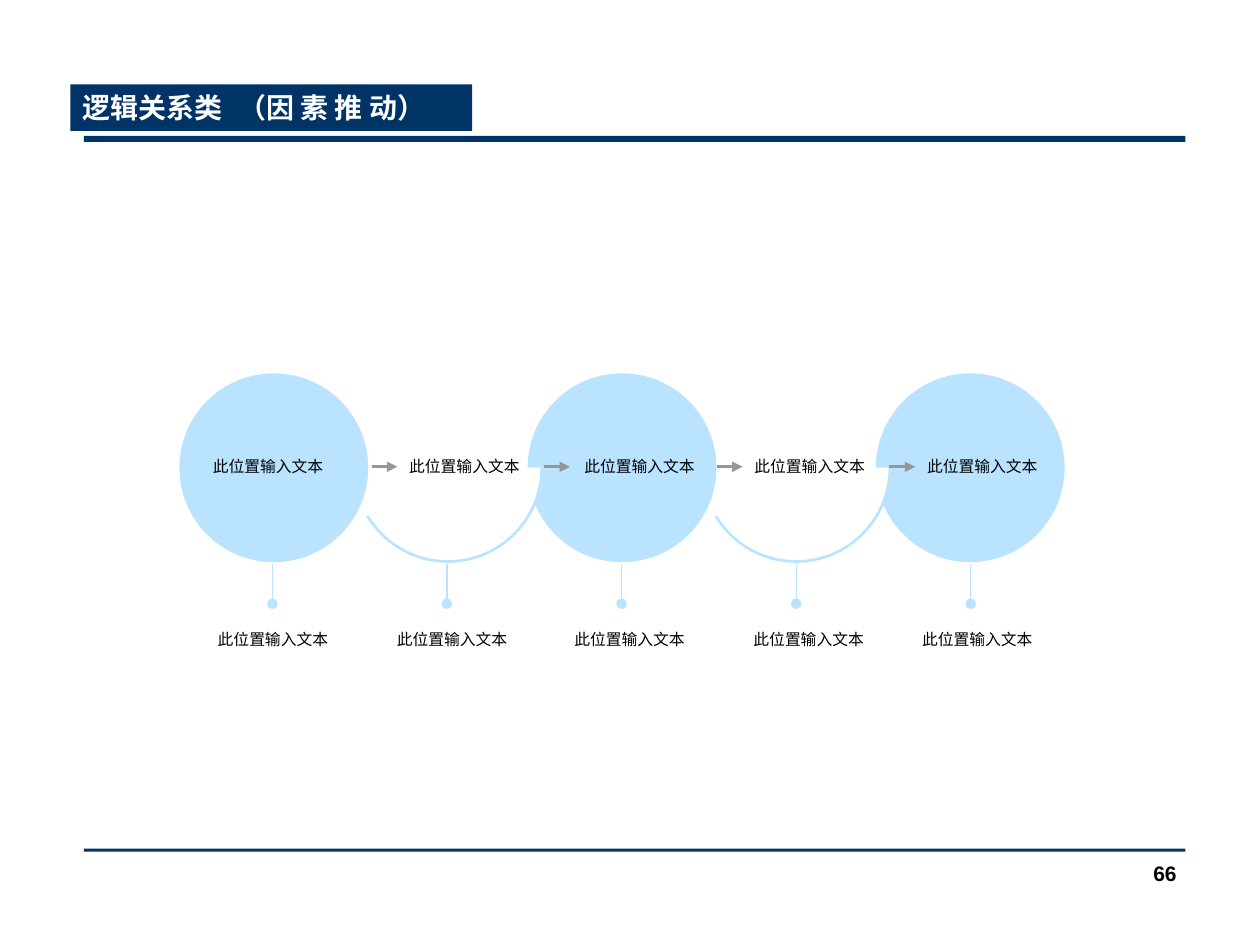
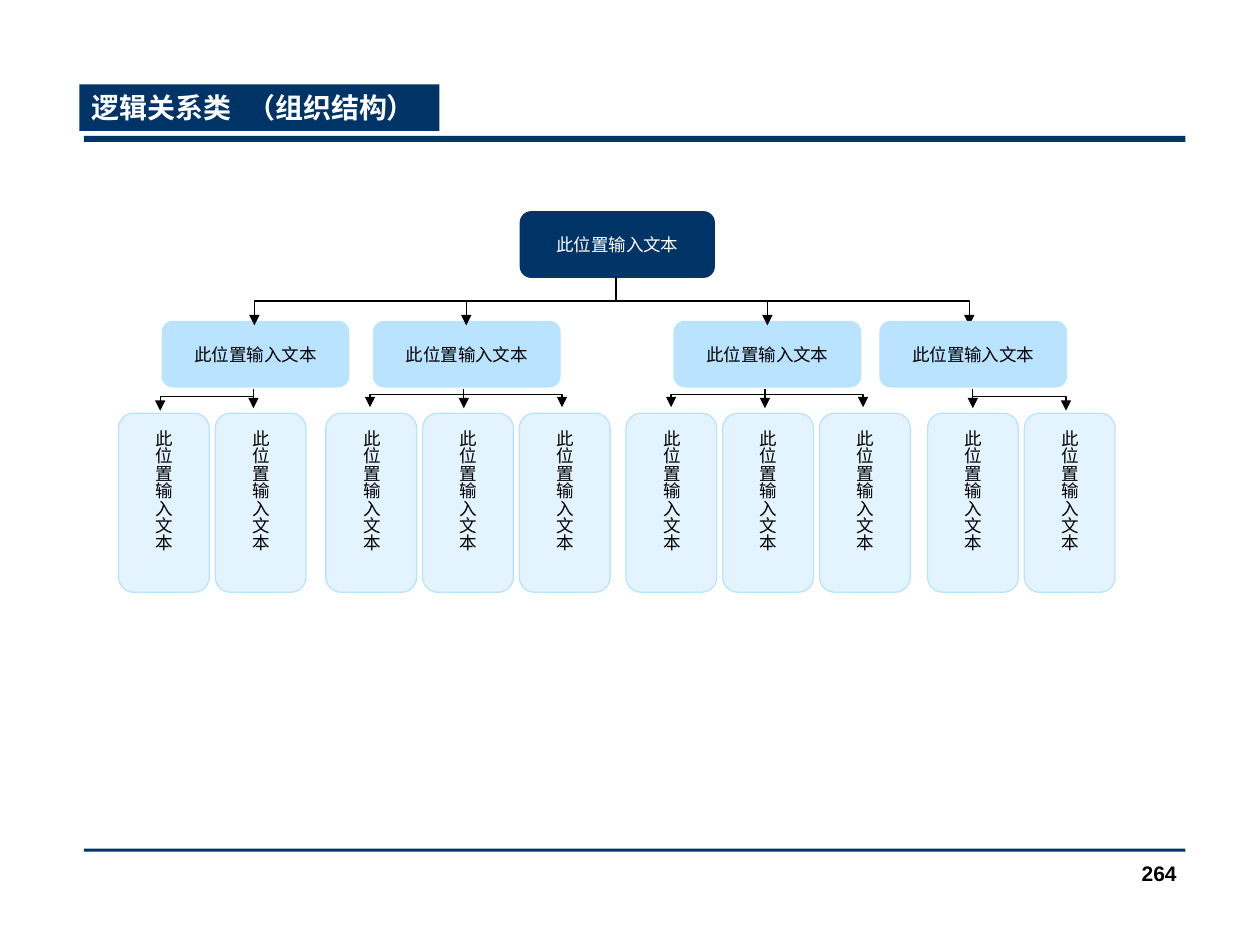
from dataclasses import dataclass

from lxml.etree import SubElement
from pptx import Presentation
from pptx.dml.color import RGBColor
from pptx.enum.shapes import MSO_CONNECTOR, MSO_SHAPE
from pptx.enum.text import MSO_ANCHOR, PP_ALIGN
from pptx.oxml.ns import qn
from pptx.util import Cm, Pt


@dataclass(frozen=True)
class Theme:
    navy: str = "003366"
    sky: str = "B9E3FF"
    gray: str = "969696"
    white: str = "FFFFFF"
    black: str = "000000"
    font: str = "Arial"
    title: int = 16
    number: int = 12
    node: int = 10
    label: int = 9
    thin: float = 0.75
    bold: float = 1.5


T = Theme()
TEXT = "此位置输入文本"


def color(code):
    return RGBColor.from_string(code)


def write(shape, text, size, ink, bold=False, align=PP_ALIGN.LEFT):
    frame = shape.text_frame
    frame.word_wrap = True
    para = frame.paragraphs[0]
    para.text = text
    para.alignment = align
    font = para.font
    font.name, font.size, font.bold = T.font, Pt(size), bold
    font.color.rgb = color(ink)
    return frame


def label(slide, x, y, w, h, text, size, **style):
    box = slide.shapes.add_textbox(Cm(x), Cm(y), Cm(w), Cm(h))
    write(box, text, size, T.black, **style)


def block(slide, kind, x, y, w, h, fill, edge=None, width=T.thin):
    shape = slide.shapes.add_shape(kind, Cm(x), Cm(y), Cm(w), Cm(h))
    shape.shadow.inherit = False
    shape.fill.solid()
    shape.fill.fore_color.rgb = color(fill)
    if edge:
        shape.line.color.rgb = color(edge)
        shape.line.width = Pt(width)
    else:
        shape.line.fill.background()
    return shape


def stroke(shape, ink, width, tail):
    shape.line.color.rgb = color(ink)
    shape.line.width = Pt(width)
    if tail:
        SubElement(shape.line._get_or_add_ln(), qn("a:tailEnd"), type=tail)


def line(slide, x1, y1, x2, y2, ink, width=T.thin, tail=None):
    link = slide.shapes.add_connector(
        MSO_CONNECTOR.STRAIGHT, Cm(x1), Cm(y1), Cm(x2), Cm(y2))
    stroke(link, ink, width, tail)
    SubElement(link._element.spPr, qn("a:effectLst"))


def elbow(slide, x, bar, end, tip):
    """Run along the bar from x to end, then drop to an arrow at tip."""
    path = slide.shapes.build_freeform(Cm(x), Cm(bar))
    path.add_line_segments(
        [(Cm(end), Cm(bar)), (Cm(end), Cm(tip))], close=False)
    shape = path.convert_to_shape()
    shape.shadow.inherit = False
    shape.fill.background()
    stroke(shape, T.black, T.thin, "triangle")


def page(deck, title, left, width, tab, number):
    """Add a slide with its title band, two rules and page number."""
    slide = deck.slides.add_slide(deck.slide_layouts[6])
    for y, h in ((2.74, 0.12), (17.11, 0.06)):
        block(slide, MSO_SHAPE.RECTANGLE, 1.69, y, 22.21, h, T.navy)
    band = block(slide, MSO_SHAPE.RECTANGLE, left, 1.7, width, 0.94, T.navy)
    para = write(band, title, T.title, T.white, bold=True).paragraphs[0]
    props = para._p.get_or_add_pPr()
    stops = props.find(qn("a:tabLst"))
    if stops is None:
        stops = SubElement(props, qn("a:tabLst"))
        props.insert(0, stops)
    SubElement(stops, qn("a:tab"), pos=str(Cm(tab)), algn="l")
    label(slide, 18.69, 17.22, 5.28, 1.27, number, T.number,
          bold=True, align=PP_ALIGN.RIGHT)
    return slide


def chain(slide, x, y):
    """Five linked circles: discs and open rings take turns."""
    size, pitch = 3.78, 3.51
    for i in (0, 2, 4):
        block(slide, MSO_SHAPE.OVAL, x + i * pitch, y, size, size,
              T.sky, T.sky)
    for i in (1, 3):
        ring = block(slide, MSO_SHAPE.ARC, x + i * pitch, y, size, size,
                     T.white, T.sky, T.bold)
        for k, angle in enumerate((-149, 149)):
            ring.adjustments[k] = angle * 0.6
    for i in range(4):
        start = x + 3.86 + i * 3.48
        line(slide, start, y + 1.87, start + 0.52, y + 1.87,
             T.gray, T.bold, "triangle")
    for i in range(5):
        stem = x + 1.86 + i * 3.52
        line(slide, stem, y + 3.84, stem, y + 4.63, T.sky, tail="oval")
    inner = (0.41, 4.37, 7.9, 11.33, 14.81)
    outer = (0.51, 4.12, 7.7, 11.31, 14.71)
    for top, row in ((1.55, inner), (5.03, outer)):
        for left in row:
            label(slide, x + left, y + top, 3.5, 0.64, TEXT, T.label)


def node(slide, x, y, w, h, fill, ink=T.black, edge=T.sky):
    shape = block(slide, MSO_SHAPE.FLOWCHART_ALTERNATE_PROCESS,
                  x, y, w, h, fill, edge)
    frame = write(shape, TEXT, T.node, ink, align=PP_ALIGN.CENTER)
    frame.word_wrap = False
    frame.vertical_anchor = MSO_ANCHOR.MIDDLE
    return shape


def leaf(slide, x, y):
    shape = node(slide, x, y, 1.83, 3.61, T.sky)
    tint = shape._element.spPr.find(qn("a:solidFill"))
    SubElement(tint[0], qn("a:alpha"), val="40000")
    frame = shape.text_frame
    frame._txBody.bodyPr.set("vert", "eaVert")
    frame.margin_left = frame.margin_right = Cm(0.13)
    frame.margin_top = frame.margin_bottom = Cm(0.25)


def branch(slide, x, y, head, first, count, stem, ends):
    """A head box over its leaves, with arrows from the stem."""
    node(slide, x + head, y + 2.21, 3.76, 1.32, T.sky)
    for i in range(count):
        leaf(slide, x + first + i * 1.95, y + 4.06)
    bar, tip = (3.73, 4.01) if count == 2 else (3.68, 3.94)
    line(slide, x + stem, y + 3.58, x + stem, y + 3.96,
         T.black, tail="triangle")
    for end in ends:
        elbow(slide, x + stem, y + bar, x + stem + end, y + tip)


def tree(slide, x, y):
    node(slide, x + 8.1, y, 3.91, 1.32, T.navy, T.white, T.navy)
    trunk, bar, tip = x + 10.03, y + 1.8, y + 2.29
    line(slide, trunk, y + 1.32, trunk, bar, T.black)
    pair, trio = 1.88, (-1.89, 1.98)
    branches = (
        (0.88, 0, 2, 2.72, (-pair,)),
        (5.14, 4.18, 3, 6.96, trio),
        (11.2, 10.23, 3, 13.03, trio),
        (15.35, 16.31, 2, 17.22, (pair,)),
    )
    for part in branches[:3]:
        branch(slide, x, y, *part)
    for drop in (2.74, 7.01, 13.08, 17.15):
        elbow(slide, trunk, bar, x + drop, tip)
    # The last head covers the tip of its arrow.
    branch(slide, x, y, *branches[3])


def main():
    deck = Presentation()
    deck.slide_width, deck.slide_height = Cm(25.4), Cm(19.05)
    chain(page(deck, "逻辑关系类\t（因 素 推 动）", 1.42, 8.1, 3.14, "66"),
          3.63, 7.54)
    tree(page(deck, "逻辑关系类\t（组织结构）", 1.6, 7.26, 3.14, "264"),
         2.39, 4.27)
    deck.save("out.pptx")


if __name__ == "__main__":
    main()
